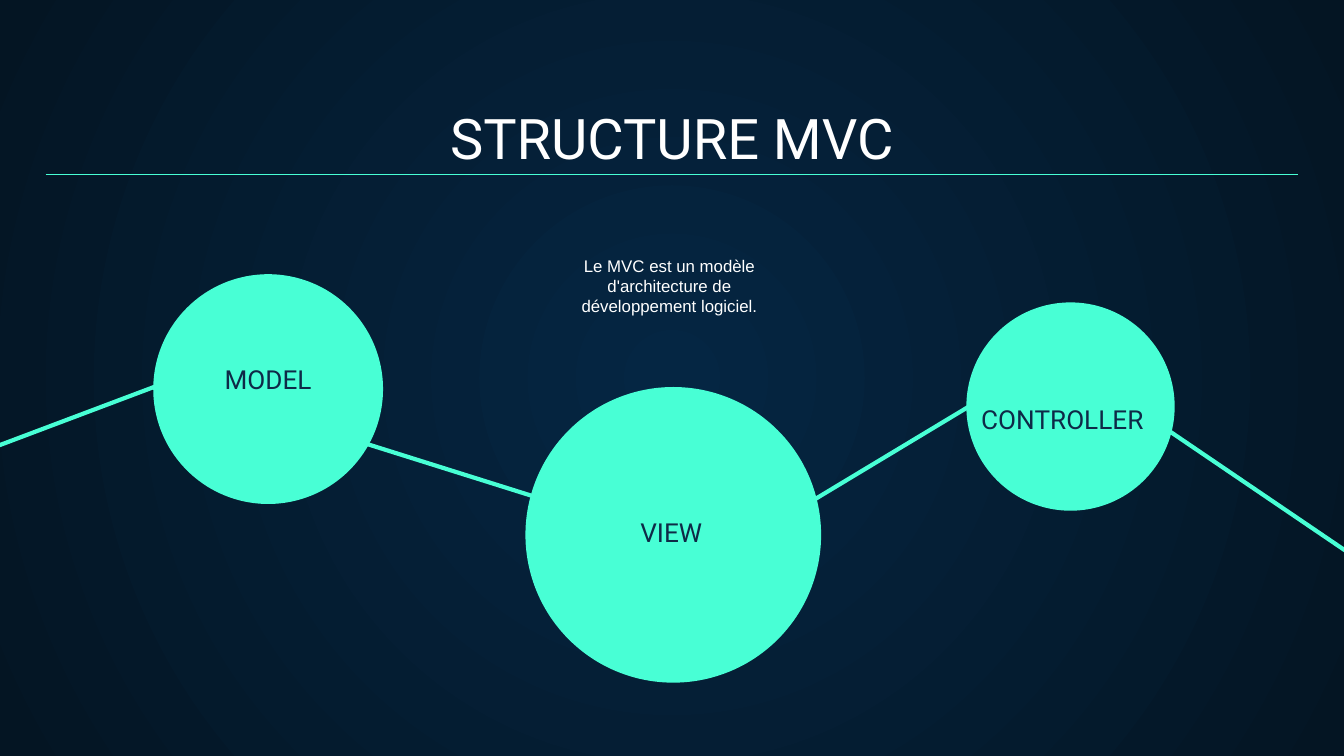
from lxml.etree import SubElement
from pptx import Presentation
from pptx.dml.color import RGBColor
from pptx.enum.shapes import MSO_CONNECTOR, MSO_SHAPE
from pptx.enum.text import MSO_ANCHOR, MSO_AUTO_SIZE, PP_ALIGN
from pptx.oxml.ns import qn
from pptx.util import Inches, Pt

CENTRE_BLUE = RGBColor(0x05, 0x26, 0x43)
EDGE_BLUE = RGBColor(0x04, 0x15, 0x23)
MINT = RGBColor(0x48, 0xFF, 0xD5)
NAVY = RGBColor(0x0E, 0x2A, 0x47)
WHITE = RGBColor(0xFF, 0xFF, 0xFF)

MARGIN = 0.34
SLIDE_WIDTH = 10
SLIDE_HEIGHT = SLIDE_WIDTH * 9 / 16
LABEL_WIDTH, LABEL_HEIGHT = 2.27, 0.21

# Left, top, diameter
CIRCLES = [(1.14, 2.04, 1.71), (3.91, 2.88, 2.2), (7.19, 2.25, 1.55)]
# Start and end points
LINKS = [
    ((2.56, 3.25), (4.31, 3.8)),
    ((5.49, 4.06), (7.45, 2.88)),
    ((1.41, 2.78), (-0.66, 3.56)),
    ((10.25, 4.26), (8.35, 2.97)),
]
# Text, left, top
LABELS = [("MODEL", 0.86, 2.6), ("VIEW", 3.86, 3.74), ("CONTROLLER", 6.77, 2.9)]


def set_radial_background(slide):
    fill = slide.background.fill
    fill.gradient()
    for stop, colour, position in zip(fill.gradient_stops, (CENTRE_BLUE, EDGE_BLUE), (0, 1)):
        stop.color.rgb = colour
        stop.position = position
    gradient = slide.element.find(".//" + qn("a:gradFill"))
    gradient.remove(gradient.find(qn("a:lin")))
    circle = SubElement(gradient, qn("a:path"), path="circle")
    SubElement(circle, qn("a:fillToRect"), l="50000", t="50000", r="50000", b="50000")


def place(shape, left, top, width, height):
    shape.left, shape.top = Inches(left), Inches(top)
    shape.width, shape.height = Inches(width), Inches(height)


def write_text(shape, text, font_name, size, colour, anchor=MSO_ANCHOR.TOP):
    frame = shape.text_frame
    frame.word_wrap = True
    frame.auto_size = MSO_AUTO_SIZE.NONE
    frame.vertical_anchor = anchor
    frame.margin_left = frame.margin_right = Inches(0.1)
    frame.margin_top = frame.margin_bottom = Inches(0.1)
    paragraph = frame.paragraphs[0]
    paragraph.alignment = PP_ALIGN.CENTER
    paragraph.space_before = Pt(0)
    run = paragraph.add_run()
    run.text = text
    run.font.name = font_name
    run.font.size = Pt(size)
    run.font.color.rgb = colour


def add_circle(slide, left, top, diameter):
    circle = slide.shapes.add_shape(
        MSO_SHAPE.OVAL, Inches(left), Inches(top), Inches(diameter), Inches(diameter))
    circle.shadow.inherit = False
    circle.fill.solid()
    circle.fill.fore_color.rgb = MINT
    circle.line.fill.background()


def add_line(slide, start, end, width):
    points = [Inches(value) for value in (*start, *end)]
    line = slide.shapes.add_connector(MSO_CONNECTOR.STRAIGHT, *points)
    line.line.color.rgb = MINT
    line.line.width = Pt(width)
    SubElement(line.element.spPr, qn("a:effectLst"))


def add_label(slide, text, left, top):
    label = slide.shapes.add_textbox(
        Inches(left), Inches(top), Inches(LABEL_WIDTH), Inches(LABEL_HEIGHT))
    write_text(label, text, "Roboto", 14, NAVY)


def main():
    presentation = Presentation()
    presentation.slide_width = Inches(SLIDE_WIDTH)
    presentation.slide_height = Inches(SLIDE_HEIGHT)
    slide = presentation.slides.add_slide(presentation.slide_layouts[0])
    set_radial_background(slide)

    # Title
    title = slide.shapes.title
    place(title, MARGIN, 0.71, SLIDE_WIDTH - 2 * MARGIN, 0.66)
    write_text(title, "STRUCTURE MVC", "Roboto", 30, WHITE, MSO_ANCHOR.BOTTOM)

    # Definition
    definition = slide.placeholders[1]
    place(definition, 4.22, 1.8, 1.52, 0.55)
    write_text(definition, "Le MVC est un modèle d'architecture de développement logiciel.",
               "Arial", 9, WHITE)

    # Chain of linked circles
    for circle in CIRCLES:
        add_circle(slide, *circle)
    for start, end in LINKS:
        add_line(slide, start, end, 2.25)
    for label in LABELS:
        add_label(slide, *label)

    # Rule under the title
    add_line(slide, (MARGIN, 1.3), (SLIDE_WIDTH - MARGIN, 1.3), 0.75)

    presentation.save("out.pptx")


if __name__ == "__main__":
    main()
